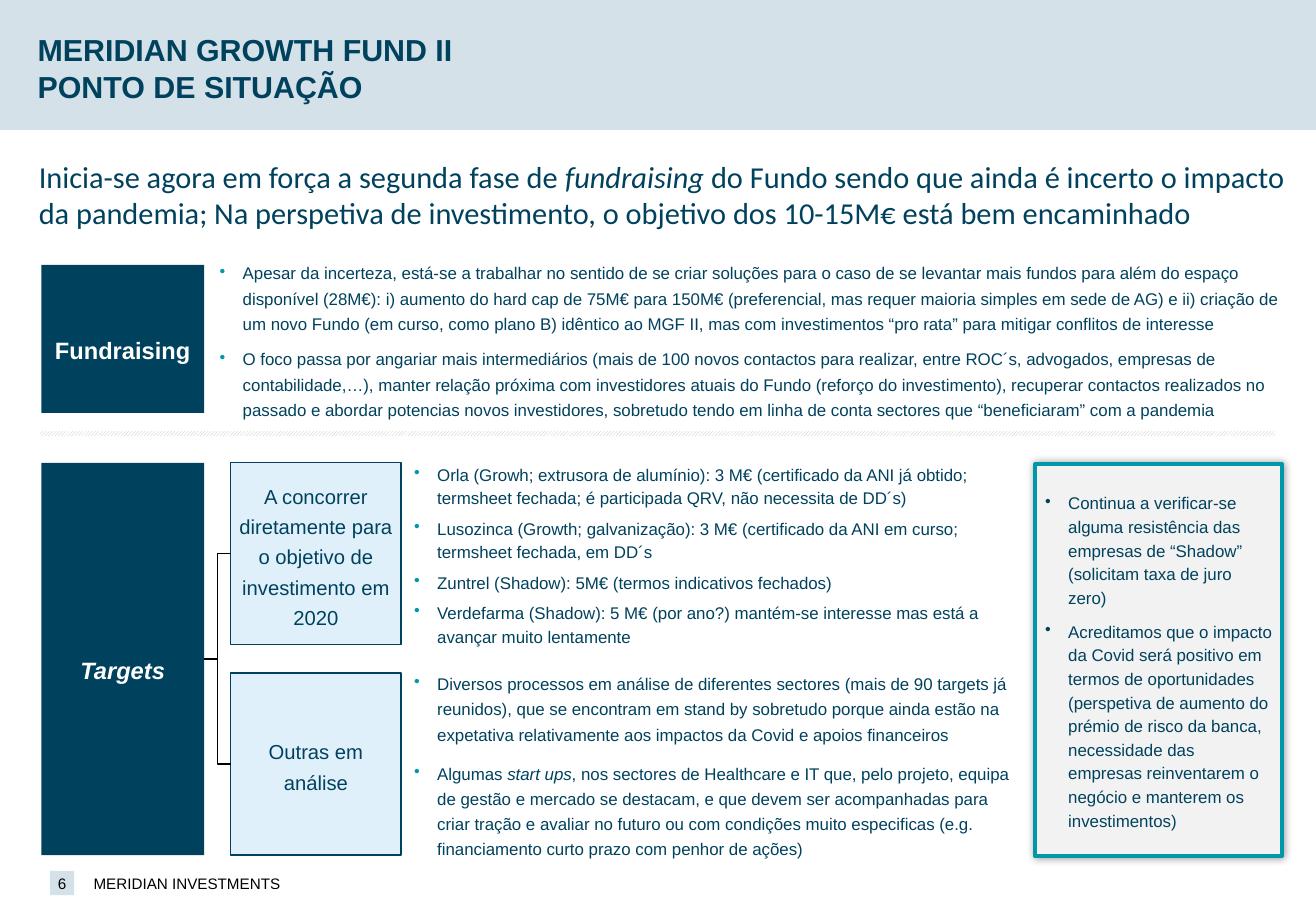
from dataclasses import dataclass
from typing import NamedTuple, Optional

from lxml import etree
from pptx import Presentation
from pptx import util as u
from pptx.dml.color import RGBColor
from pptx.enum import dml, shapes, text
from pptx.oxml import parse_xml
from pptx.oxml.ns import nsdecls, qn

SLIDE_W, SLIDE_H = u.Inches(10.83), u.Inches(7.5)


class Theme:
    NAVY, TEAL, PALE, BAND = "00425E", "0097A9", "E0F0FA", "D4E1E8"
    GREY, STRIPE, WHITE, BLACK = "F2F2F2", "BFBFBF", "FFFFFF", "000000"
    SANS, LEAD = "Arial", "Calibri"
    FOOTER, BODY, STEP, STAGE, HEAD = 9, 10, 12, 14, 18


class Box(NamedTuple):
    """Left, top, width and height in percent of the slide."""
    x: float
    y: float
    w: float
    h: float


class Pad(NamedTuple):
    """Side and top insets in percent of the slide."""
    x: float
    y: float


NONE, TIGHT, NORMAL, ROOMY = Pad(0, 0), Pad(0.35, 0.67), Pad(0.92, 0.67), Pad(0.74, 0.67)


@dataclass(frozen=True)
class Style:
    size: int
    color: str = Theme.NAVY
    font: str = Theme.SANS
    bold: bool = False
    centered: bool = False
    leading: Optional[int] = None
    before: int = 0
    after: int = 0
    bullet: Optional[str] = None
    pad: Pad = TIGHT
    anchor: text.MSO_ANCHOR = text.MSO_ANCHOR.MIDDLE


@dataclass(frozen=True)
class Block:
    box: Box
    style: Style
    paragraphs: tuple[str, ...] = ()  # words between asterisks are italic
    fill: Optional[str] = None
    line: Optional[str] = None
    weight: float = 0.75
    glow: bool = False


def across(percent: float) -> int:
    return round(SLIDE_W * percent / 100)


def down(percent: float) -> int:
    return round(SLIDE_H * percent / 100)


def place(box: Box) -> tuple[int, int, int, int]:
    return across(box.x), down(box.y), across(box.w), down(box.h)


def rgb(color: str) -> RGBColor:
    return RGBColor.from_string(color)


def add_bullet(paragraph, color: str) -> None:
    props = paragraph._p.get_or_add_pPr()
    indent = u.Inches(0.19)
    props.set("marL", str(indent))
    props.set("indent", str(-indent))
    tint = etree.SubElement(props, qn("a:buClr"))
    etree.SubElement(tint, qn("a:srgbClr"), val=color)
    etree.SubElement(props, qn("a:buChar"), char="•")


def write(frame, paragraphs: tuple[str, ...], style: Style) -> None:
    frame.word_wrap = True
    frame.vertical_anchor = style.anchor
    frame.margin_left = frame.margin_right = across(style.pad.x)
    frame.margin_top = frame.margin_bottom = down(style.pad.y)
    for number, words in enumerate(paragraphs):
        paragraph = frame.add_paragraph() if number else frame.paragraphs[0]
        if style.bullet:
            add_bullet(paragraph, style.bullet)
        paragraph.alignment = text.PP_ALIGN.CENTER if style.centered else text.PP_ALIGN.LEFT
        paragraph.space_before, paragraph.space_after = u.Pt(style.before), u.Pt(style.after)
        if style.leading:
            paragraph.line_spacing = u.Pt(style.leading)
        font = paragraph.font
        font.name, font.size, font.bold = style.font, u.Pt(style.size), style.bold
        font.color.rgb = rgb(style.color)
        for part, piece in enumerate(words.split("*")):
            if piece:
                run = paragraph.add_run()
                run.text = piece
                if part % 2:
                    run.font.italic = True


def draw(slide, block: Block):
    if block.fill is None:
        shape = slide.shapes.add_textbox(*place(block.box))
    else:
        shape = slide.shapes.add_shape(shapes.MSO_SHAPE.RECTANGLE, *place(block.box))
        shape.shadow.inherit = False
        shape.fill.solid()
        shape.fill.fore_color.rgb = rgb(block.fill)
        if block.line:
            shape.line.color.rgb = rgb(block.line)
            shape.line.width = u.Pt(block.weight)
        else:
            shape.line.fill.background()
    if block.glow:
        effects = shape._element.spPr.find(qn("a:effectLst"))
        effects.append(parse_xml(
            f'<a:outerShdw {nsdecls("a")} blurRad="{u.Pt(5)}" dist="0" rotWithShape="0">'
            f'<a:srgbClr val="{Theme.BLACK}"><a:alpha val="40000"/></a:srgbClr></a:outerShdw>'))
    write(shape.text_frame, block.paragraphs, block.style)
    return shape


def draw_divider(slide, box: Box) -> None:
    strip = slide.shapes.add_shape(shapes.MSO_SHAPE.RECTANGLE, *place(box))
    strip.shadow.inherit = False
    strip.fill.patterned()
    strip.fill.pattern = dml.MSO_PATTERN.DARK_UPWARD_DIAGONAL
    strip.fill.fore_color.rgb, strip.fill.back_color.rgb = rgb(Theme.STRIPE), rgb(Theme.WHITE)
    strip.line.fill.background()


def link(slide, stage, step) -> None:
    elbow = slide.shapes.add_connector(shapes.MSO_CONNECTOR.ELBOW, 0, 0, 0, 0)
    elbow.begin_connect(stage, 3)
    elbow.end_connect(step, 1)
    elbow.line.color.rgb, elbow.line.width = rgb(Theme.BLACK), u.Pt(0.75)
    etree.SubElement(elbow._element.spPr, qn("a:effectLst"))


# Text styles
TITLE = Style(Theme.HEAD, bold=True, leading=22, pad=NONE)
LEAD = Style(Theme.HEAD, font=Theme.LEAD, pad=NORMAL, anchor=text.MSO_ANCHOR.TOP)
FOOTER = Style(Theme.FOOTER, Theme.BLACK, pad=NONE)
PAGE = Style(Theme.FOOTER, Theme.BLACK, centered=True, pad=NONE)
STAGE = Style(Theme.STAGE, Theme.WHITE, bold=True, centered=True, leading=30, before=6)
STEP = Style(Theme.STEP, centered=True, leading=18)
FUNDING = Style(Theme.BODY, leading=15, before=3, after=3, bullet=Theme.TEAL)
DEALS = Style(Theme.BODY, leading=14, before=2, after=2, bullet=Theme.TEAL)
PIPELINE = Style(Theme.BODY, leading=15, before=4, after=4, bullet=Theme.TEAL)
REMARKS = Style(Theme.BODY, leading=14, before=3, after=3, bullet=Theme.NAVY, pad=ROOMY)

# Columns and rows, in percent of the slide
STAGE_X, STAGE_W = 3.14, 12.37
STEP_X, STEP_W = 17.54, 12.93
NOTE_X, NOTE_W = 31.12, 46.08
FUND_Y, FUND_H = 29.07, 16.27
TARGET_Y, TARGET_H, STEP_H = 50.8, 43.07, 20
LOWER_Y = TARGET_Y + TARGET_H - STEP_H
FOOT_Y, FOOT_H = 95.6, 2.67

# Header, footer and the fundraising row
OPENING = (
    Block(Box(0, 0, 100, 14.27), TITLE, fill=Theme.BAND),
    Block(Box(7.11, FOOT_Y, 25.58, FOOT_H), FOOTER, ("MERIDIAN INVESTMENTS",)),
    Block(Box(2.86, 1.6, 94.55, 11.6), TITLE, ("MERIDIAN GROWTH FUND II", "PONTO DE SITUAÇÃO")),
    Block(Box(3.79, FOOT_Y, 1.85, FOOT_H), PAGE, ("6",), Theme.BAND),
    Block(Box(2.03, 16.67, 96.77, 9.47), LEAD, (
        "Inicia-se agora em força a segunda fase de *fundraising* do Fundo sendo que ainda é incerto o impacto da pandemia; Na perspetiva de investimento, o objetivo dos 10-15M€ está bem encaminhado",)),
    Block(Box(STAGE_X, FUND_Y, STAGE_W, FUND_H), STAGE, ("Fundraising",), Theme.NAVY),
    Block(Box(16.34, FUND_Y, 81.44, FUND_H), FUNDING, (
        "Apesar da incerteza, está-se a trabalhar no sentido de se criar soluções para o caso de se levantar mais fundos para além do espaço disponível (28M€): i) aumento do hard cap de 75M€ para 150M€ (preferencial, mas requer maioria simples em sede de AG) e ii) criação de um novo Fundo (em curso, como plano B) idêntico ao MGF II, mas com investimentos “pro rata” para mitigar conflitos de interesse",
        "O foco passa por angariar mais intermediários (mais de 100 novos contactos para realizar, entre ROC´s, advogados, empresas de contabilidade,…), manter relação próxima com investidores atuais do Fundo (reforço do investimento), recuperar contactos realizados no passado e abordar potencias novos investidores, sobretudo tendo em linha de conta sectores que “beneficiaram” com a pandemia")),
)

# Targets row
TARGETS = Block(Box(STAGE_X, TARGET_Y, STAGE_W, TARGET_H), STAGE, ("*Targets*",), Theme.NAVY)
STEPS = tuple(
    Block(Box(STEP_X, top, STEP_W, STEP_H), STEP, (label,), Theme.PALE, Theme.NAVY)
    for top, label in (
        (TARGET_Y, "A concorrer diretamente para o objetivo de investimento em 2020"),
        (LOWER_Y, "Outras em análise")))
NOTES = (
    Block(Box(NOTE_X, TARGET_Y, NOTE_W, STEP_H), DEALS, (
        "Orla (Growh; extrusora de alumínio): 3 M€ (certificado da ANI já obtido; termsheet fechada; é participada QRV, não necessita de DD´s)",
        "Lusozinca (Growth; galvanização): 3 M€ (certificado da ANI em curso; termsheet fechada, em DD´s",
        "Zuntrel (Shadow): 5M€ (termos indicativos fechados)",
        "Verdefarma (Shadow): 5 M€ (por ano?) mantém-se interesse mas está a avançar muito lentamente")),
    Block(Box(NOTE_X, LOWER_Y, NOTE_W, STEP_H), PIPELINE, (
        "Diversos processos em análise de diferentes sectores (mais de 90 targets já reunidos), que se encontram em stand by sobretudo porque ainda estão na expetativa relativamente aos impactos da Covid e apoios financeiros",
        "Algumas *start ups*, nos sectores de Healthcare e IT que, pelo projeto, equipa de gestão e mercado se destacam, e que devem ser acompanhadas para criar tração e avaliar no futuro ou com condições muito especificas (e.g. financiamento curto prazo com penhor de ações)")),
    Block(Box(78.67, 50.93, 18.74, TARGET_H), REMARKS, (
        "Continua a verificar-se alguma resistência das empresas de “Shadow” (solicitam taxa de juro zero)",
        "Acreditamos que o impacto da Covid será positivo em termos de oportunidades (perspetiva de aumento do prémio de risco da banca, necessidade das empresas reinventarem o negócio e manterem os investimentos)"),
        Theme.GREY, Theme.TEAL, 2.25, glow=True),
)


def main() -> None:
    deck = Presentation()
    deck.slide_width, deck.slide_height = SLIDE_W, SLIDE_H
    slide = deck.slides.add_slide(deck.slide_layouts[6])
    for block in OPENING:
        draw(slide, block)
    draw_divider(slide, Box(3.05, 47.33, 93.81, 0.53))
    targets = draw(slide, TARGETS)
    steps = [draw(slide, step) for step in STEPS]
    for note in NOTES:
        draw(slide, note)
    for step in steps:
        link(slide, targets, step)
    deck.save("out.pptx")


if __name__ == "__main__":
    main()
